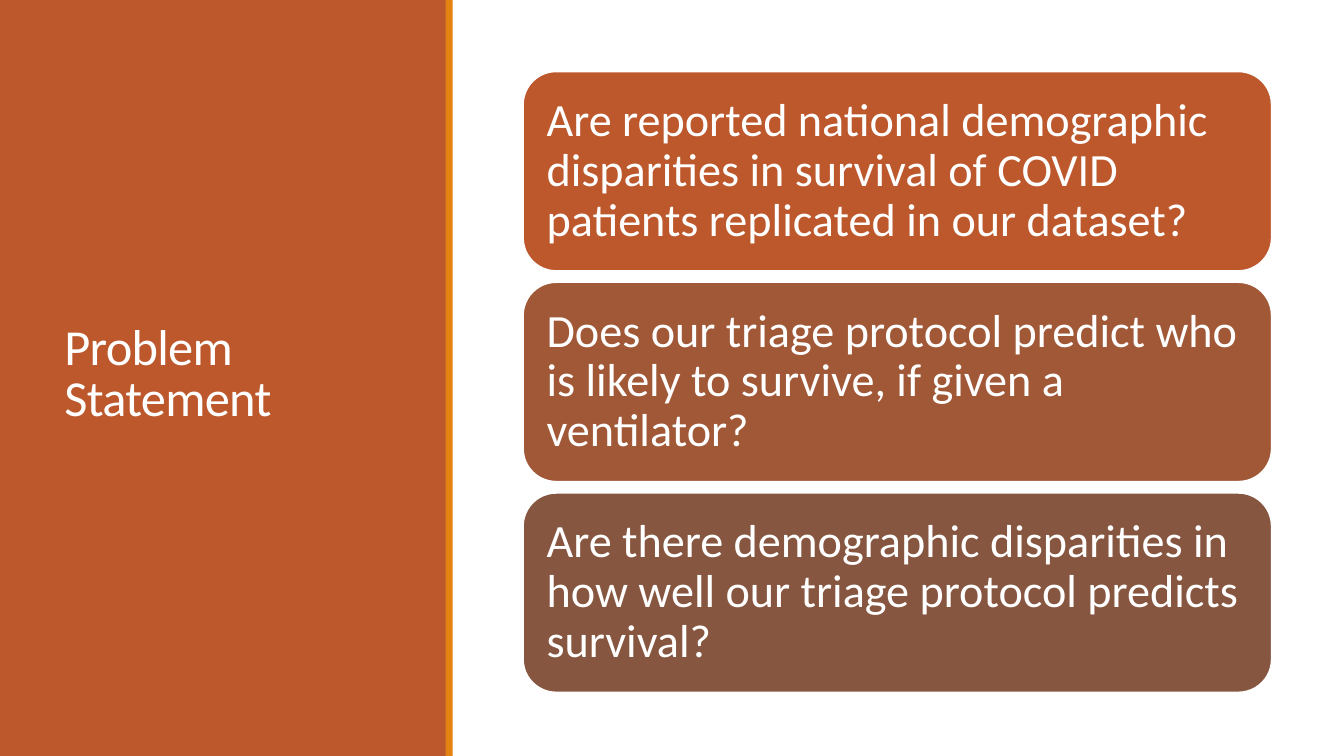
"""Build the problem statement slide with its three question cards."""
from dataclasses import dataclass

from pptx import Presentation
from pptx.dml.color import RGBColor
from pptx.enum.shapes import MSO_SHAPE
from pptx.enum.text import MSO_ANCHOR, MSO_AUTO_SIZE, PP_ALIGN
from pptx.shapes.autoshape import Shape
from pptx.slide import Slide
from pptx.util import Cm, Pt

WHITE = RGBColor(0xFF, 0xFF, 0xFF)
RUST = RGBColor(0xBD, 0x58, 0x2C)
ORANGE = RGBColor(0xE4, 0x83, 0x12)
SIENNA = RGBColor(0xA0, 0x58, 0x37)
BROWN = RGBColor(0x86, 0x56, 0x40)

PAGE_WIDTH, PAGE_HEIGHT = 33.87, 19.05
CARD_LEFT, CARD_TOP = 13.18, 1.8
CARD_WIDTH, CARD_HEIGHT, CARD_PITCH = 18.87, 5.03, 5.31
CARD_INSET = Cm(0.35)

FRAME_FORMAT = {
    "word_wrap": True,
    "auto_size": MSO_AUTO_SIZE.NONE,
    "vertical_anchor": MSO_ANCHOR.MIDDLE,
}
CARD_FRAME_FORMAT = FRAME_FORMAT | {
    "margin_left": CARD_INSET,
    "margin_top": CARD_INSET,
    "margin_right": CARD_INSET,
    "margin_bottom": CARD_INSET,
}


@dataclass(frozen=True)
class Box:
    """Position and size in centimetres."""
    left: float
    top: float
    width: float
    height: float


@dataclass(frozen=True)
class Question:
    """Wording and fill colour of one card."""
    text: str
    fill: RGBColor


TITLE_BOX = Box(1.37, 1.45, 8.56, 16.03)
PANEL_BOX = Box(0, 0, 11.25, PAGE_HEIGHT)
STRIPE_BOX = Box(11.23, 0, 0.18, PAGE_HEIGHT)
QUESTIONS = (
    Question("Are reported national demographic disparities in survival of "
             "COVID patients replicated in our dataset?", RUST),
    Question("Does our triage protocol predict who is likely to survive, "
             "if given a ventilator?", SIENNA),
    Question("Are there demographic disparities in how well our triage "
             "protocol predicts survival?", BROWN),
)


def set_all(target: object, values: dict) -> None:
    """Set each named attribute on the target."""
    for name, value in values.items():
        setattr(target, name, value)


def add_filled(page: Slide, kind: MSO_SHAPE, box: Box, fill: RGBColor) -> Shape:
    """Add a flat shape without outline."""
    shape = page.shapes.add_shape(
        kind, Cm(box.left), Cm(box.top), Cm(box.width), Cm(box.height))
    shape.shadow.inherit = False
    shape.fill.solid()
    shape.fill.fore_color.rgb = fill
    shape.line.fill.background()
    return shape


def write_text(shape: Shape, text: str, size: float, line_spacing: float,
               frame_format: dict) -> None:
    """Write one white, left-aligned paragraph into the shape."""
    set_all(shape.text_frame, frame_format)
    para = shape.text_frame.paragraphs[0]
    set_all(para, {"alignment": PP_ALIGN.LEFT, "line_spacing": line_spacing})
    span = para.add_run()
    span.text = text
    set_all(span.font, {"name": "Calibri", "size": Pt(size)})
    span.font.color.rgb = WHITE


def add_title(page: Slide) -> None:
    """Place the title on top of the side panel."""
    title = page.shapes.title
    set_all(title, {"left": Cm(TITLE_BOX.left), "top": Cm(TITLE_BOX.top),
                    "width": Cm(TITLE_BOX.width), "height": Cm(TITLE_BOX.height)})
    write_text(title, "Problem Statement", 36, 0.85, FRAME_FORMAT)
    span = title.text_frame.paragraphs[0].runs[0]
    span._r.get_or_add_rPr().set("spc", "-50")
    page.shapes.element.append(title.element)


def add_card(page: Slide, index: int, question: Question) -> None:
    """Add the rounded card for one question."""
    box = Box(CARD_LEFT, CARD_TOP + index * CARD_PITCH, CARD_WIDTH, CARD_HEIGHT)
    card = add_filled(page, MSO_SHAPE.ROUNDED_RECTANGLE, box, question.fill)
    card.line.color.rgb = WHITE
    card.line.width = Pt(1.25)
    write_text(card, question.text, 33, 0.9, CARD_FRAME_FORMAT)


def main() -> None:
    """Build and save the deck."""
    deck = Presentation()
    set_all(deck, {"slide_width": Cm(PAGE_WIDTH), "slide_height": Cm(PAGE_HEIGHT)})
    page = deck.slides.add_slide(deck.slide_layouts.get_by_name("Title Only"))
    add_filled(page, MSO_SHAPE.RECTANGLE, PANEL_BOX, RUST)
    add_title(page)
    add_filled(page, MSO_SHAPE.RECTANGLE, STRIPE_BOX, ORANGE)
    for index, question in enumerate(QUESTIONS):
        add_card(page, index, question)
    deck.save("out.pptx")


if __name__ == "__main__":
    main()
